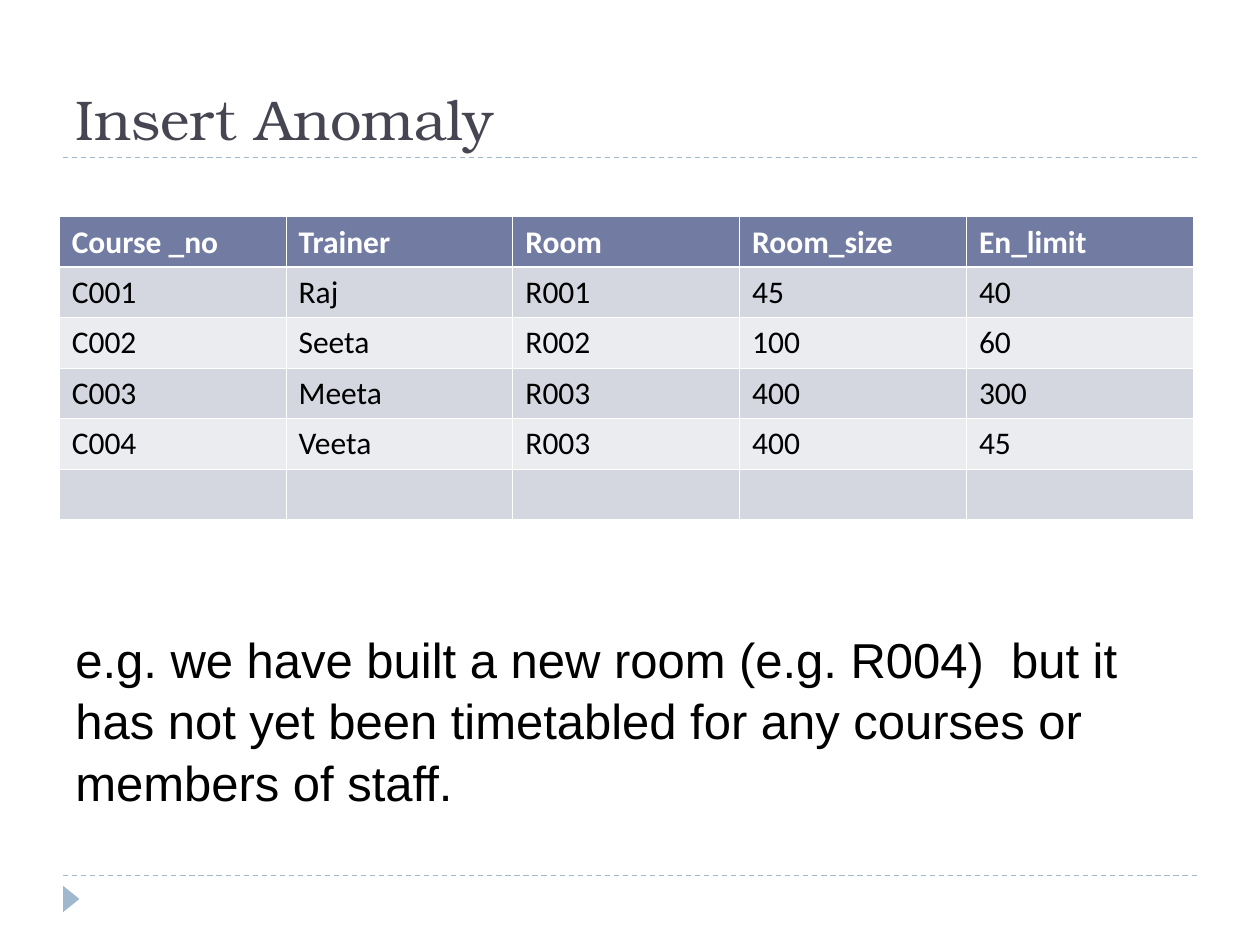
from lxml.etree import SubElement
from pptx import Presentation
from pptx.dml.color import RGBColor
from pptx.enum.dml import MSO_LINE
from pptx.enum.shapes import MSO_CONNECTOR, MSO_SHAPE
from pptx.enum.text import MSO_ANCHOR
from pptx.oxml.ns import qn
from pptx.util import Inches, Pt

WIDTH, HEIGHT = 10, 7.5
MARGIN = 0.05 * WIDTH
CONTENT_WIDTH = WIDTH - 2 * MARGIN
TITLE_RULE, FOOTER_RULE = 1.25, 6.95
ROW_HEIGHT = 0.4
ACCENT, HEADER = "9FB8CD", "727CA3"
BANDS = ("D5D7E0", "EBECF0")
WHITE, BLACK = "FFFFFF", "000000"
THIN, THICK = 0.45, 1.47

COURSES = [
    ("Course _no", "Trainer", "Room", "Room_size", "En_limit"),
    ("C001", "Raj", "R001", "45", "40"),
    ("C002", "Seeta", "R002", "100", "60"),
    ("C003", "Meeta", "R003", "400", "300"),
    ("C004", "Veeta", "R003", "400", "45"),
    ("", "", "", "", ""),
]


def color(value):
    return RGBColor.from_string(value)


def write(frame, text, *, size, font, fill, bold=False, spacing=None):
    para = frame.paragraphs[0]
    para.line_spacing = spacing
    span = para.add_run()
    span.text = text
    span.font.size = Pt(size)
    span.font.name = font
    span.font.bold = bold
    span.font.color.rgb = color(fill)


def add_text(page, area, text, *, anchor=MSO_ANCHOR.TOP, **style):
    box = page.shapes.add_textbox(*map(Inches, area))
    box.text_frame.word_wrap = True
    box.text_frame.vertical_anchor = anchor
    write(box.text_frame, text, **style)


def add_rule(page, y):
    """Draw a dashed line across the content width."""
    ends = (MARGIN, y, WIDTH - MARGIN, y)
    rule = page.shapes.add_connector(MSO_CONNECTOR.STRAIGHT, *map(Inches, ends))
    rule.line.color.rgb = color(ACCENT)
    rule.line.width = Pt(0.75)
    rule.line.dash_style = MSO_LINE.DASH
    SubElement(rule._element.spPr, qn("a:effectLst"))


def add_footer_marker(page):
    area = (0.46, 7.07, 0.21, 0.13)
    marker = page.shapes.add_shape(MSO_SHAPE.ISOSCELES_TRIANGLE, *map(Inches, area))
    marker.rotation = 90
    marker.shadow.inherit = False
    marker.fill.solid()
    marker.fill.fore_color.rgb = color(ACCENT)
    marker.line.fill.background()


def set_borders(cell, **widths):
    """Give each named side a white border, placed ahead of the cell's fill."""
    properties = cell._tc.get_or_add_tcPr()
    for position, (side, width) in enumerate(widths.items()):
        border = SubElement(properties, qn(f"a:ln{side}"), w=str(Pt(width)))
        SubElement(SubElement(border, qn("a:solidFill")), qn("a:srgbClr"), val=WHITE)
        properties.insert(position, border)


def add_course_table(page):
    rows, columns = len(COURSES), len(COURSES[0])
    area = (0.47, 1.72, CONTENT_WIDTH, rows * ROW_HEIGHT)
    table = page.shapes.add_table(rows, columns, *map(Inches, area)).table
    for row, values in enumerate(COURSES):
        is_header = row == 0
        for column, value in enumerate(values):
            cell = table.cell(row, column)
            cell.fill.solid()
            cell.fill.fore_color.rgb = color(HEADER if is_header else BANDS[(row - 1) % 2])
            set_borders(cell, L=THIN, R=THIN, T=THICK if row == 1 else THIN,
                        B=THICK if is_header else THIN)
            if value:
                write(cell.text_frame, value, size=18, font="Calibri",
                      fill=WHITE if is_header else BLACK, bold=is_header)


def main():
    deck = Presentation()
    deck.slide_width, deck.slide_height = Inches(WIDTH), Inches(HEIGHT)
    page = deck.slides.add_slide(deck.slide_layouts[6])
    for y in (FOOTER_RULE, TITLE_RULE):
        add_rule(page, y)
    add_footer_marker(page)
    add_text(page, (MARGIN, 0.17, CONTENT_WIDTH, TITLE_RULE - 0.17), "Insert Anomaly",
             anchor=MSO_ANCHOR.BOTTOM, size=32, font="TeX Gyre Bonum", fill="464653")
    add_course_table(page)
    add_text(page, (MARGIN, 4.92, 8.91, 0.2 * HEIGHT),
             "e.g. we have built a new room (e.g. R004)  but it has not yet been "
             "timetabled for any courses or members of staff.",
             size=28, font="Arial", fill=BLACK, spacing=1.05)
    deck.save("out.pptx")


if __name__ == "__main__":
    main()
